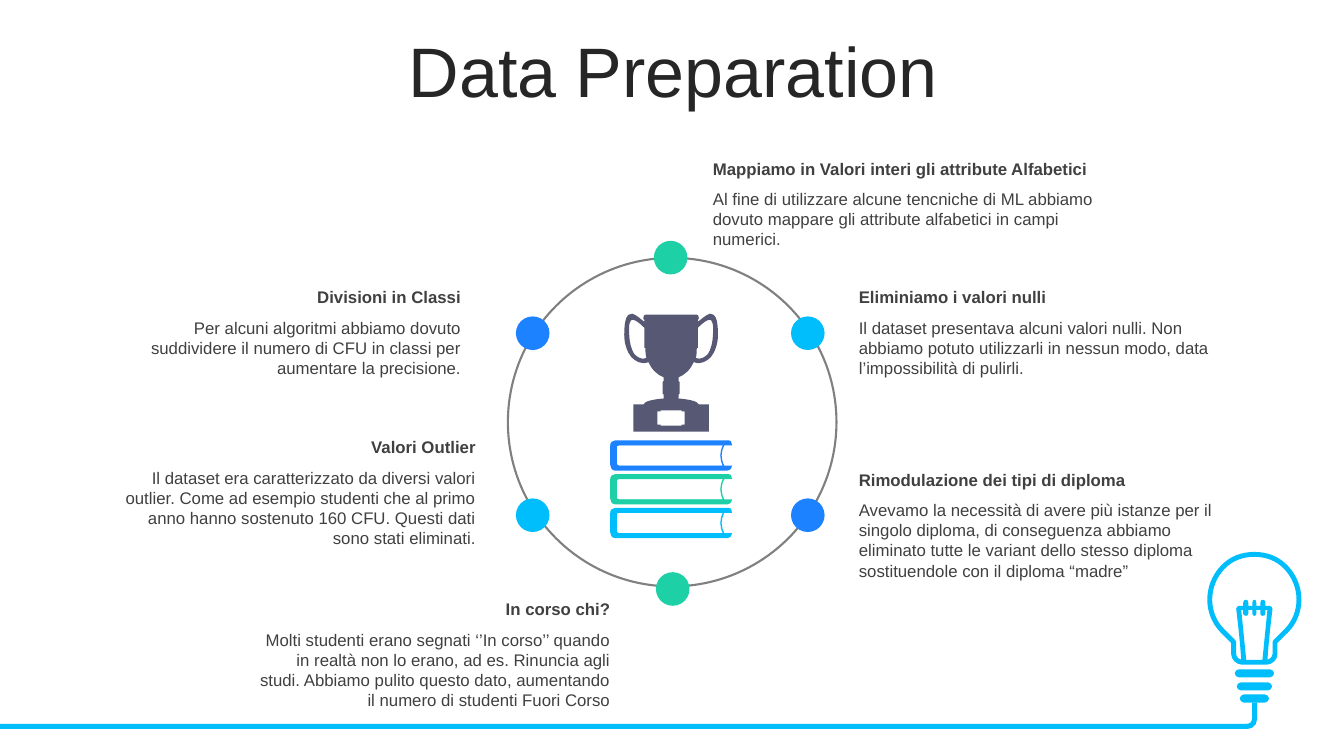
from dataclasses import dataclass

from lxml.etree import SubElement
from pptx import Presentation
from pptx.dml.color import RGBColor
from pptx.enum.shapes import MSO_SHAPE
from pptx.enum.text import MSO_ANCHOR, MSO_AUTO_SIZE, PP_ALIGN
from pptx.oxml.ns import qn
from pptx.util import Pt

FONT = "Arial"
WHITE, TITLE_INK, TEXT_INK = "FFFFFF", "262626", "404040"
GREEN, BLUE, CYAN = "1ED0A6", "1C82FF", "00BDFB"
RING_GREY, TROPHY_SLATE = "808080", "565874"

UNIT = 0.72  # points per unit of the icon outlines

# An outline is a start point, then 2 numbers per line or 6 per Bézier curve
Outline = list[tuple[float, ...]]


@dataclass
class Topic:
    heading: str
    body: str
    left: float
    top: float
    width: float
    align: PP_ALIGN
    dot_center: tuple[float, float]
    dot_color: str


TOPICS = [
    Topic("Mappiamo in Valori interi gli attribute Alfabetici",
          "Al fine di utilizzare alcune tencniche di ML abbiamo dovuto mappare "
          "gli attribute alfabetici in campi numerici.",
          502.1, 109.6, 303, PP_ALIGN.LEFT, (479, 184), GREEN),
    Topic("Eliminiamo i valori nulli",
          "Il dataset presentava alcuni valori nulli. Non abbiamo potuto "
          "utilizzarli in nessun modo, data l’impossibilità di pulirli.",
          606.4, 201.4, 269.3, PP_ALIGN.LEFT, (577, 238), CYAN),
    Topic("Rimodulazione dei tipi di diploma",
          "Avevamo la necessità di avere più istanze per il singolo diploma, di "
          "conseguenza abbiamo eliminato tutte le variant dello stesso diploma "
          "sostituendole con il diploma “madre”",
          606.4, 331.8, 269.3, PP_ALIGN.LEFT, (577, 368), BLUE),
    Topic("In corso chi?",
          "Molti studenti erano segnati ‘’In corso’’ quando in realtà non lo "
          "erano, ad es. Rinuncia agli studi. Abbiamo pulito questo dato, "
          "aumentando il numero di studenti Fuori Corso",
          173.7, 424.3, 269.3, PP_ALIGN.RIGHT, (480.5, 420.7), GREEN),
    Topic("Valori Outlier",
          "Il dataset era caratterizzato da diversi valori outlier. Come ad "
          "esempio studenti che al primo anno hanno sostenuto 160 CFU. Questi "
          "dati sono stati eliminati.",
          77.6, 308.7, 269.3, PP_ALIGN.RIGHT, (380.5, 368), CYAN),
    Topic("Divisioni in Classi",
          "Per alcuni algoritmi abbiamo dovuto suddividere il numero di CFU in "
          "classi per aumentare la precisione.",
          67.1, 201.4, 269.3, PP_ALIGN.RIGHT, (380.5, 238), BLUE),
]

# Right halves of the symmetric icons, measured from their vertical axis
BULB_HALF: Outline = [
    (0, 0), (12, 0, 23, 4, 31.5, 13), (48.5, 31, 48.5, 59, 31.5, 76),
    (20.5, 87), (20.5, 99), (20.5, 103, 16.5, 107, 12, 107), (0, 107)]
FILAMENT_HALF: Outline = [
    (0, 45), (1, 45, 2, 46, 2, 48), (2, 51), (6, 51), (6, 48),
    (6, 46, 7, 45, 8, 45), (10, 45, 11, 46, 11, 48), (11, 51), (15, 51),
    (17, 51, 18, 53, 18, 54), (16, 71, 14, 88, 13, 105),
    (13, 107, 11, 108, 10, 107), (9, 107, 8, 106, 8, 105), (13, 55), (11, 55),
    (11, 59), (11, 60, 10, 61, 8, 61), (7, 61, 6, 60, 6, 59), (6, 55), (2, 55),
    (2, 59), (2, 60, 1, 61, 0, 61)]
THREAD_HALVES: list[Outline] = [
    [(0, y), (x - 4, y), (x - 2, y, x, y + 2, x, y + 4),
     (x, y + 6, x - 2, y + 8, x - 4, y + 8), (0, y + 8)]
    for x, y in ((14.5, 139), (17.5, 127), (19.5, 114))]
CUP_HALF: Outline = [
    (0, 1), (25.5, 1), (26.5, 1, 27.5, 2, 27.5, 4), (27.5, 5, 27.5, 6, 26.5, 6),
    (26.5, 8), (29.5, 6, 34.5, 1, 38.5, 0), (43.5, 0, 46.5, 4, 46.5, 21),
    (46.5, 30, 43.5, 38, 39.5, 43), (35.5, 47, 29.5, 51, 22.5, 48),
    (19.5, 55, 13.5, 61, 7.5, 63), (7.5, 67), (8.5, 67, 8.5, 68, 8.5, 69),
    (8.5, 78), (8.5, 79, 8.5, 80, 7.5, 80), (7.5, 83),
    (7.5, 83, 7.5, 84, 6.5, 84), (18.5, 85, 26.5, 87, 27.5, 90),
    (37.5, 90), (37.5, 117), (0, 117)]
PLAQUE_HALF: Outline = [
    (0, 96), (10.5, 96), (10.5, 97), (13.5, 97), (13.5, 110), (10.5, 110),
    (10.5, 111), (0, 111)]
HANDLE: Outline = [
    (38.5, 6), (35.5, 6, 31.5, 9, 26.5, 14), (26.5, 34), (25.5, 34),
    (25.5, 37, 25.5, 40, 24.5, 44), (29.5, 46, 33.5, 43, 36.5, 40),
    (39.5, 36, 41.5, 27, 41.5, 21), (42.5, 10, 40.5, 6, 38.5, 6)]
PAGES: Outline = [(6, 4), (113, 4), (109, 12, 109, 18, 113, 26), (6, 26)]
COVER: Outline = [
    (5, 0), (116, 0), (118, 0, 119, 0, 120, 1), (121, 5), (9, 5),
    (7, 5, 6, 6, 6, 8), (6, 22), (6, 23, 7, 25, 9, 25), (121, 25), (120, 28),
    (119, 29, 118, 30, 116, 30), (5, 30), (2, 30, 0, 27, 0, 24), (0, 6),
    (0, 2, 2, 0, 5, 0)]


def rgb(color: str) -> RGBColor:
    return RGBColor.from_string(color)


def pairs(outline: Outline) -> list[tuple[float, float]]:
    return [step[i:i + 2] for step in outline for i in range(0, len(step), 2)]


def mirror(outline: Outline) -> Outline:
    flipped = iter([(-x, y) for x, y in reversed(pairs(outline))])
    sizes = [1] + [len(step) // 2 for step in reversed(outline[1:])]
    return [tuple(value for _ in range(size) for value in next(flipped)) for size in sizes]


def whole(half: Outline) -> Outline:
    return half + mirror(half)[1:]


def paint(shape, fill: str | None, line: str | None = None, weight: float = 1) -> None:
    shape.shadow.inherit = False
    if fill:
        shape.fill.solid()
        shape.fill.fore_color.rgb = rgb(fill)
    else:
        shape.fill.background()
    if line:
        shape.line.color.rgb = rgb(line)
        shape.line.width = Pt(weight)
    else:
        shape.line.fill.background()


def bend(shape, outlines: list[Outline]) -> None:
    """Join the three segments that stand for each curve into a Bézier segment."""
    segments = iter(list(shape._element.iter(qn("a:lnTo"))))
    for step in (step for outline in outlines for step in outline[1:]):
        first = next(segments)
        if len(step) == 6:
            curve = SubElement(first.getparent(), qn("a:cubicBezTo"))
            first.addprevious(curve)
            for segment in (first, next(segments), next(segments)):
                curve.append(segment[0])
                segment.getparent().remove(segment)


def add_icon(slide, outlines: list[Outline], left: float, top: float,
             fill: str, line: str | None = None, weight: float = 1) -> None:
    placed = [[(Pt(left + x * UNIT), Pt(top + y * UNIT)) for x, y in pairs(outline)]
              for outline in outlines]
    builder = slide.shapes.build_freeform(*placed[0][0], scale=1.0)
    for index, contour in enumerate(placed):
        if index:
            builder.move_to(*contour[0])
        builder.add_line_segments(contour[1:], close=True)
    icon = builder.convert_to_shape()
    bend(icon, outlines)
    paint(icon, fill, line, weight)


def add_preset(slide, kind: MSO_SHAPE, left: float, top: float, width: float,
               height: float, fill: str | None, line: str | None = None,
               weight: float = 1, adjust: tuple[float, ...] = ()) -> None:
    shape = slide.shapes.add_shape(kind, Pt(left), Pt(top), Pt(width), Pt(height))
    for index, value in enumerate(adjust):
        shape.adjustments[index] = value
    paint(shape, fill, line, weight)


def write(paragraph, text: str, size: float, color: str, align: PP_ALIGN,
          bold: bool = False) -> None:
    paragraph.alignment = align
    run = paragraph.add_run()
    run.text = text
    run.font.name, run.font.size, run.font.bold = FONT, Pt(size), bold
    run.font.color.rgb = rgb(color)


def add_text(slide, topic: Topic, text: str, top: float, height: float, bold: bool) -> None:
    box = slide.shapes.add_textbox(Pt(topic.left), Pt(top), Pt(topic.width), Pt(height))
    box.text_frame.word_wrap = True
    write(box.text_frame.paragraphs[0], text, 12, TEXT_INK, topic.align, bold)


def add_title(slide, text: str) -> None:
    title = slide.shapes.title
    title.left, title.top, title.width, title.height = Pt(25.4), Pt(26.6), Pt(911.5), Pt(57)
    frame = title.text_frame
    frame.auto_size, frame.vertical_anchor = MSO_AUTO_SIZE.NONE, MSO_ANCHOR.MIDDLE
    frame.paragraphs[0].line_spacing = 0.8
    write(frame.paragraphs[0], text, 50, TITLE_INK, PP_ALIGN.CENTER)


def add_lamp(slide) -> None:
    axis, top = 896, 396
    add_icon(slide, [whole(BULB_HALF)], axis, top, WHITE, CYAN, 3.5)
    add_icon(slide, [whole(half) for half in THREAD_HALVES], axis, top, CYAN)
    add_icon(slide, [whole(FILAMENT_HALF)], axis, top, CYAN)
    # Cable along the bottom edge
    add_preset(slide, MSO_SHAPE.RECTANGLE, 0, 517, 890.8, 3.7, CYAN)
    add_preset(slide, MSO_SHAPE.RECTANGLE, 894.3, 502, 3.7, 12.2, CYAN)
    add_preset(slide, MSO_SHAPE.BLOCK_ARC, 884.2, 507, 13.7, 13.7, CYAN,
               adjust=(213.39, 60.92, 0.27))


def main() -> None:
    deck = Presentation()
    deck.slide_width, deck.slide_height = Pt(960), Pt(540)
    slide = deck.slides.add_slide(deck.slide_layouts[5])
    add_lamp(slide)
    add_title(slide, "Data Preparation")

    # One heading and text per topic, then the ring with its dots
    for topic in TOPICS:
        add_text(slide, topic, topic.body, topic.top + 21.7, 51, False)
        add_text(slide, topic, topic.heading, topic.top, 22, True)
    add_preset(slide, MSO_SHAPE.OVAL, 362.8, 184.2, 234.7, 234.7, None, RING_GREY, 1.5)
    for topic in TOPICS:
        x, y = topic.dot_center
        add_preset(slide, MSO_SHAPE.OVAL, x - 12, y - 12, 24, 24, topic.dot_color)

    # Stack of books under the trophy
    for row, color in enumerate((BLUE, GREEN, CYAN)):
        top = 314.6 + 24.1 * row
        add_icon(slide, [PAGES], 435.8, top, WHITE, color)
        add_icon(slide, [COVER], 435.8, top, color)
    add_icon(slide, [whole(PLAQUE_HALF), HANDLE, mirror(HANDLE), whole(CUP_HALF)],
             479.4, 224.1, TROPHY_SLATE)

    deck.save("out.pptx")


if __name__ == "__main__":
    main()
